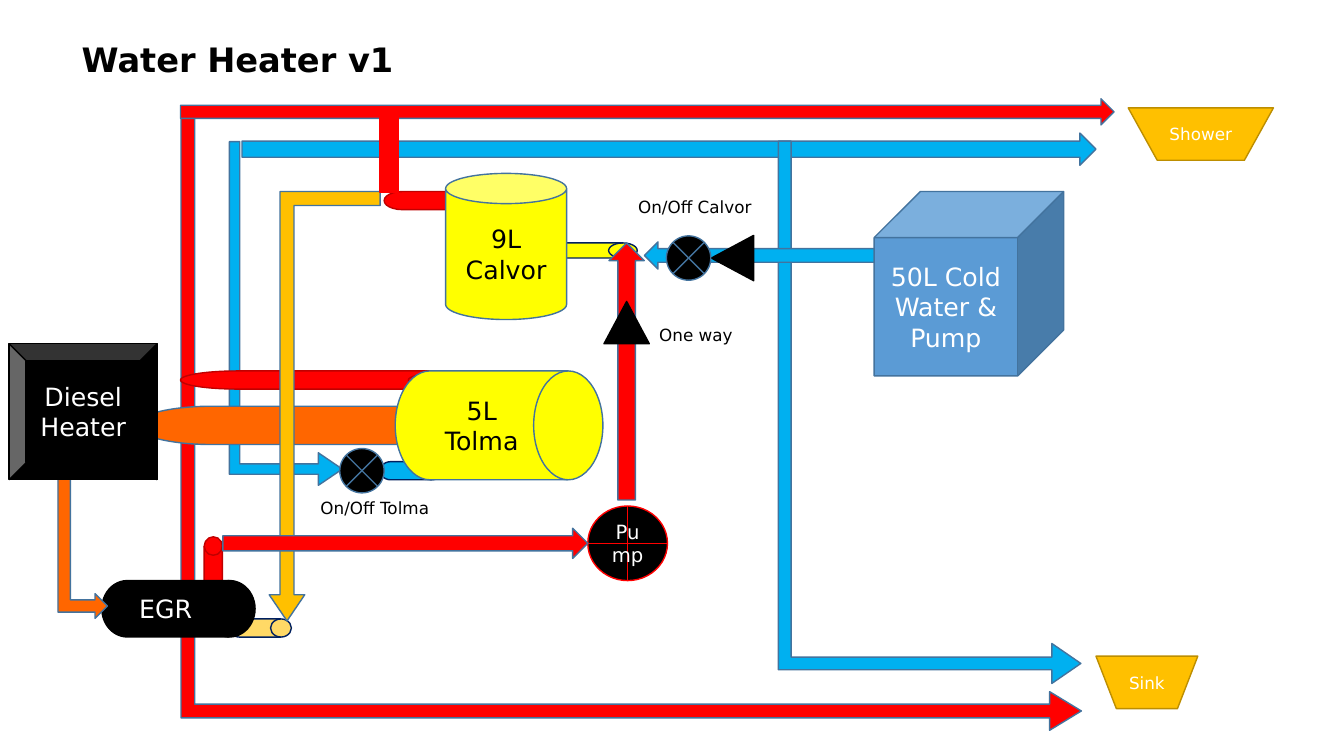
"""Build the water heater plumbing diagram slide."""
from dataclasses import dataclass

from pptx import Presentation
from pptx.dml.color import RGBColor
from pptx.enum.shapes import MSO_SHAPE as Shape
from pptx.enum.text import MSO_ANCHOR as Anchor, MSO_AUTO_SIZE as AutoSize, PP_ALIGN as Align
from pptx.util import Inches, Pt


@dataclass(frozen=True)
class Theme:
    font: str = "DejaVu Sans"
    title: int = 24
    device: int = 18
    pump: int = 14
    label: int = 12
    black: str = "000000"
    white: str = "FFFFFF"
    hot: str = "FF0000"
    hot_edge: str = "C00000"
    cold: str = "00B0F0"
    exhaust: str = "FF6600"
    coolant: str = "FFC000"
    coolant_stub: str = "FFD966"
    outlet_edge: str = "BD8E00"
    boiler: str = "FFFF00"
    tank: str = "5B9BD5"
    edge: str = "43739E"
    navy: str = "002060"


theme = Theme()


def write(frame, text, size=theme.label, color=theme.black, bold=False,
          align=Align.LEFT, anchor=Anchor.TOP, spacing=None, wrap=True):
    frame.text = text
    frame.word_wrap = wrap
    frame.vertical_anchor = anchor
    for paragraph in frame.paragraphs:
        paragraph.alignment = align
        paragraph.line_spacing = spacing
        font = paragraph.runs[0].font
        font.name, font.size, font.bold = theme.font, Pt(size), bold
        font.color.rgb = RGBColor.from_string(color)


deck = Presentation()
deck.slide_width, deck.slide_height = Inches(13.33), Inches(7.5)
slide = deck.slides.add_slide(deck.slide_layouts[5])


def draw(kind, box, fill, edge=theme.edge, turn=0, bends=(), text="", size=theme.device, color=theme.white):
    device = slide.shapes.add_shape(kind, *map(Inches, box))
    device.shadow.inherit = False
    device.rotation = turn
    for index, bend in enumerate(bends):
        device.adjustments[index] = bend
    device.fill.solid()
    device.fill.fore_color.rgb = RGBColor.from_string(fill)
    device.line.color.rgb = RGBColor.from_string(edge)
    device.line.width = Pt(1)
    if text:
        write(device.text_frame, text, size=size, color=color, align=Align.CENTER, anchor=Anchor.MIDDLE)


heading = slide.shapes.title
heading.left, heading.top, heading.width, heading.height = map(Inches, (0.71, 0.28, 11.5, 0.67))
write(heading.text_frame, "Water Heater v1", size=theme.title, bold=True, anchor=Anchor.MIDDLE, spacing=0.9)

drum, bent = Shape.FLOWCHART_DIRECT_ACCESS_STORAGE, Shape.BENT_UP_ARROW
one_way, valve = Shape.FLOWCHART_EXTRACT, Shape.FLOWCHART_SUMMING_JUNCTION

draw(bent, (1.13, 2.55, 3.41, 1.12), theme.cold, turn=90, bends=(0.092, 0.144, 0.212))
draw(bent, (3.17, -0.31, 6.18, 8.93), theme.hot, turn=90, bends=(0.022, 0.031, 0.051))
draw(drum, (1.35, 4.03, 4.48, 0.38), theme.exhaust)

draw(drum, (3.81, 1.9, 1.09, 0.18), theme.hot, theme.hot_edge)
draw(drum, (5.47, 2.41, 0.85, 0.15), theme.boiler, theme.navy)
draw(Shape.CAN, (4.42, 1.72, 1.2, 1.45), theme.boiler, text="9L\nCalvor", color=theme.black)

draw(drum, (1.84, 5.51, 0.55, 0.18), theme.hot, theme.hot_edge, turn=270)
draw(drum, (2.27, 6.14, 0.62, 0.18), theme.coolant_stub, theme.navy)
draw(drum, (3.77, 4.58, 0.62, 0.18), theme.cold, theme.navy)
draw(drum, (1.79, 3.68, 3.39, 0.18), theme.hot, theme.hot_edge)
draw(drum, (1.01, 5.76, 1.52, 0.56), theme.black, theme.black, text="EGR")
draw(drum, (3.92, 3.68, 2.06, 1.08), theme.boiler, text="5L Tolma", color=theme.black)

draw(Shape.RIGHT_ARROW, (1.79, 0.98, 9.26, 0.26), theme.hot)
draw(Shape.CUBE, (8.67, 1.9, 1.88, 1.83), theme.tank, text="50L Cold Water & Pump")
draw(Shape.LEFT_ARROW, (2.4, 1.32, 8.47, 0.32), theme.cold, turn=180)
draw(bent, (6.53, 2.59, 5.38, 3), theme.cold, turn=90, bends=(0.042, 0.066, 0.096))
draw(bent, (2.67, 1.9, 1.1, 4.26), theme.coolant, turn=180, bends=(0.126, 0.16, 0.236))

draw(Shape.FLOWCHART_OR, (5.83, 5.02, 0.79, 0.74), theme.black, theme.hot, text="Pump", size=theme.pump)
draw(Shape.RIGHT_ARROW, (2.21, 5.24, 3.62, 0.3), theme.hot)
draw(Shape.RIGHT_ARROW, (4.94, 3.51, 2.55, 0.35), theme.hot, turn=270)
draw(bent, (0.04, 5.11, 1.56, 0.49), theme.exhaust, turn=90)
draw(Shape.BEVEL, (0.09, 3.41, 1.47, 1.35), theme.black, theme.black, text="Diesel Heater")
draw(Shape.RECTANGLE, (3.77, 1.07, 0.18, 0.84), theme.hot, theme.hot)
draw(Shape.LEFT_ARROW, (6.39, 2.4, 2.28, 0.27), theme.cold)

for left, top, turn in ((5.99, 2.99, 0), (7.04, 2.35, 270)):
    draw(one_way, (left, top, 0.45, 0.42), theme.black, theme.black, turn=turn)
for left, top in ((3.37, 4.45), (6.61, 2.34)):
    draw(valve, (left, top, 0.44, 0.44), theme.black)
for outlet, left, top, width in (("Sink", 10.87, 6.51, 1.01), ("Shower", 11.19, 1.07, 1.44)):
    draw(Shape.FLOWCHART_MANUAL_OPERATION, (left, top, width, 0.52), theme.coolant,
         theme.outlet_edge, text=outlet, size=theme.label)

for caption, left, top, width in (("On/Off Tolma", 3.08, 4.89, 1.31),
                                  ("One way", 6.44, 3.17, 0.93),
                                  ("On/Off Calvor", 6.23, 1.9, 1.35)):
    label = slide.shapes.add_textbox(*map(Inches, (left, top, width, 0.3)))
    write(label.text_frame, caption, wrap=False)
    label.text_frame.auto_size = AutoSize.SHAPE_TO_FIT_TEXT

deck.save("out.pptx")
